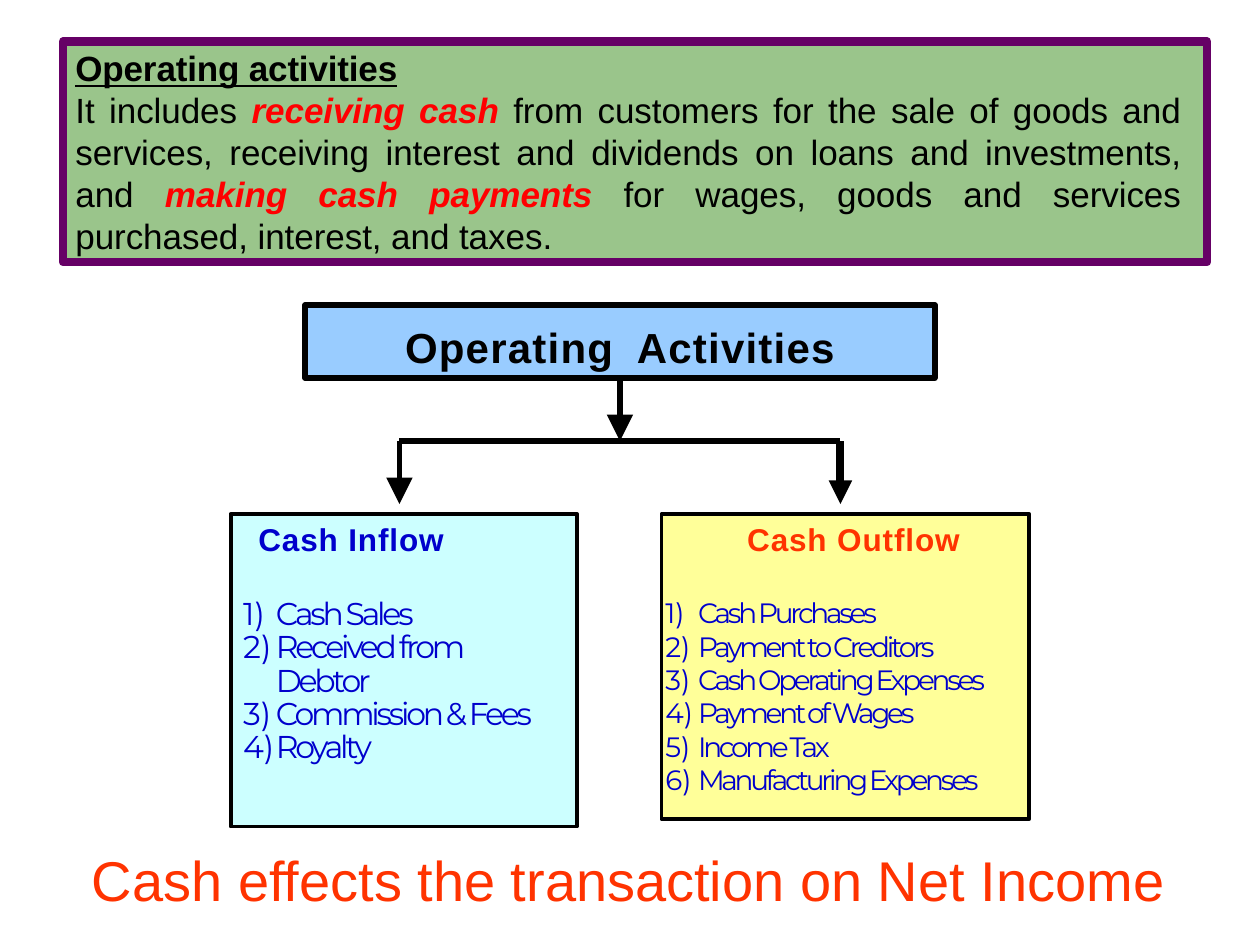
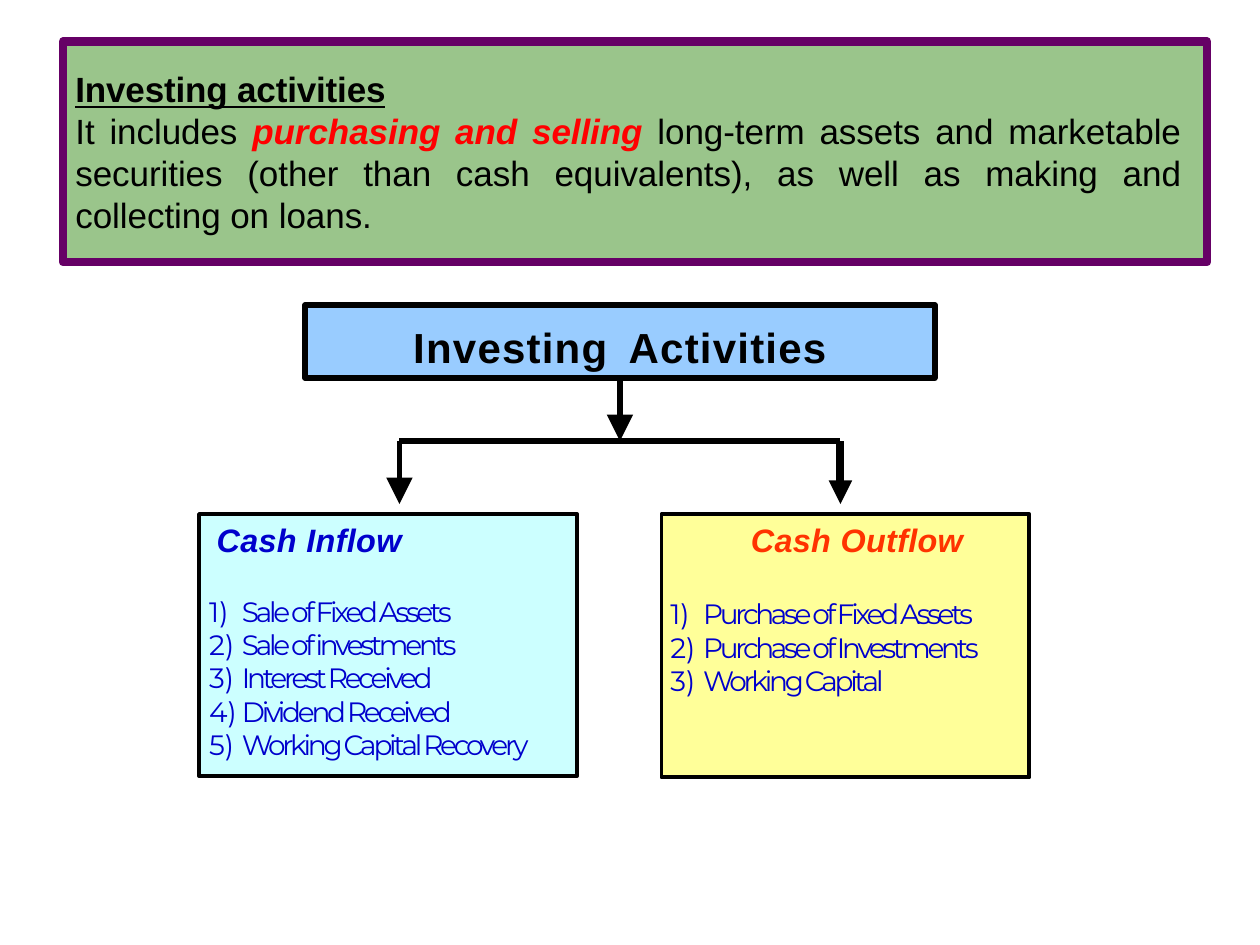
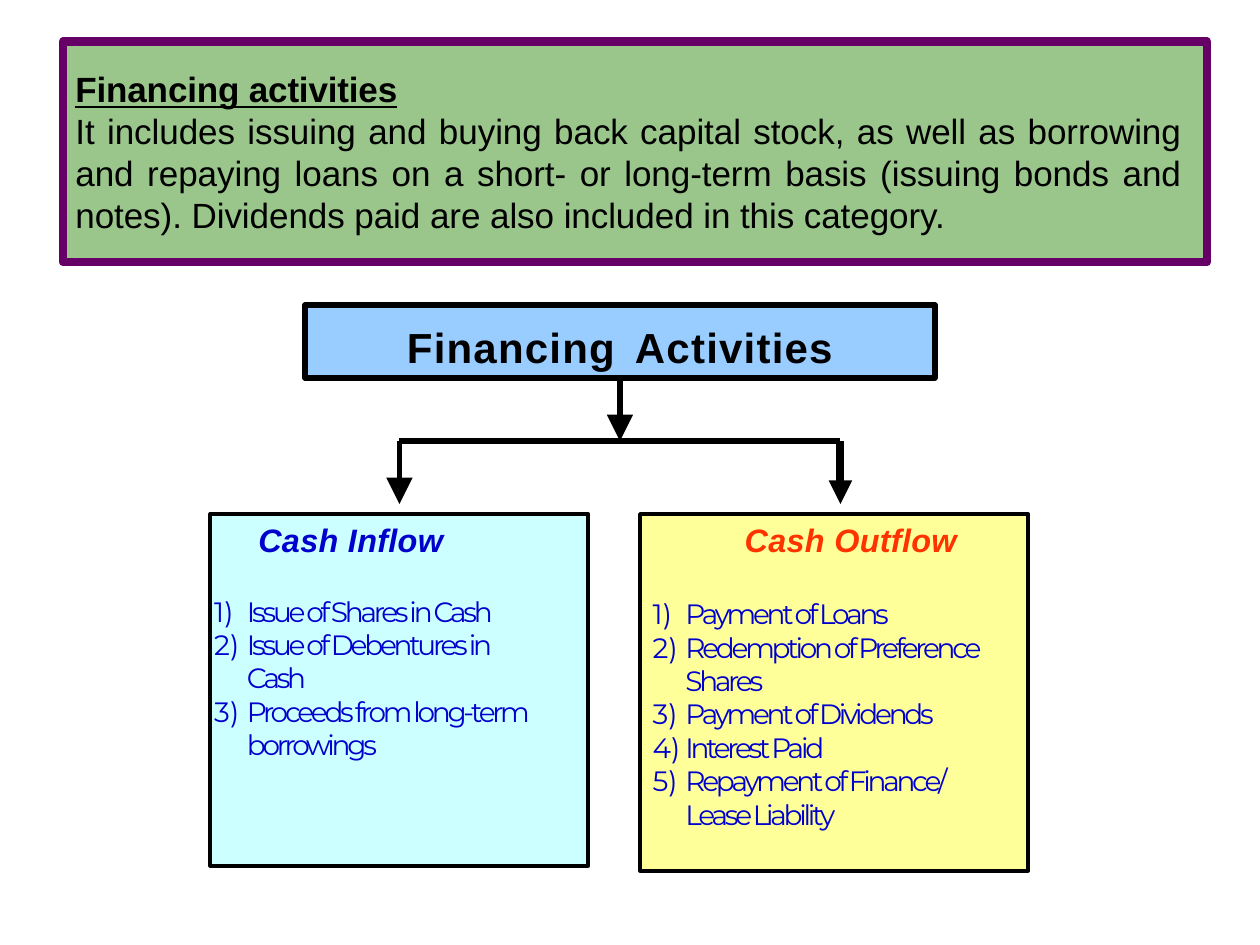
import lxml.etree
import pptx
import pptx.dml.color
import pptx.enum.shapes
import pptx.enum.text
import pptx.oxml.ns
import pptx.util

Inches = pptx.util.Inches
Pt = pptx.util.Pt
ANCHOR = pptx.enum.text.MSO_ANCHOR
ALIGN = pptx.enum.text.PP_ALIGN
qn = pptx.oxml.ns.qn

COLORS = {
    "black": "000000", "green": "9AC58B", "purple": "660066", "sky": "99CCFF",
    "cyan": "CCFFFF", "yellow": "FFFF99", "blue": "0000CC", "orange": "FF3300", "red": "FF0000",
}

ACTIVITIES = [
    {
        "name": "Operating", "tab": 1.84, "italic": False, "right_inset": 0.2,
        "definition": "It includes *receiving cash* from customers for the sale of goods and services, "
                      "receiving interest and dividends on loans and investments, and *making cash "
                      "payments* for wages, goods and services purchased, interest, and taxes.",
        "inflow": {"box": (1.83, 4.08, 2.75, 2.48), "heading_indent": 0.22, "indent": 0.36,
                   "size": 18, "gap": 22.8,
                   "entries": ["Cash Sales", "Received from Debtor", "Commission & Fees", "Royalty"]},
        "outflow": {"box": (5.25, 4.08, 2.92, 2.42), "heading_indent": 0.68, "indent": 0.29,
                    "size": 16, "gap": 21.5,
                    "entries": ["Cash Purchases", "Payment to Creditors", "Cash Operating Expenses",
                                "Payment of Wages", "Income Tax", "Manufacturing Expenses"]},
        "conclusion": "Cash effects the transaction on Net Income",
    },
    {
        "name": "Investing", "tab": 1.71, "italic": True, "right_inset": 0.2,
        "definition": "It includes *purchasing and selling* long-term assets and marketable securities "
                      "(other than cash equivalents), as well as making and collecting on loans.",
        "inflow": {"box": (1.58, 4.08, 3, 2.08), "heading_indent": 0.14, "indent": 0.34,
                   "size": 16, "gap": 20,
                   "entries": ["Sale of Fixed Assets", "Sale of investments", "Interest Received",
                               "Dividend Received", "Working Capital Recovery"]},
        "outflow": {"box": (5.25, 4.08, 2.92, 2.09), "heading_indent": 0.71, "indent": 0.33,
                    "size": 16, "gap": 21.5,
                    "entries": ["Purchase of Fixed Assets", "Purchase of Investments",
                                "Working Capital"]},
        "conclusion": "",
    },
    {
        "name": "Financing", "tab": 1.81, "italic": True, "right_inset": 0.3,
        "definition": "It includes issuing and buying back capital stock, as well as borrowing and "
                      "repaying loans on a short- or long-term basis (issuing bonds and notes). "
                      "Dividends paid are also included in this category.",
        "inflow": {"box": (1.67, 4.08, 3, 2.79), "heading_indent": 0.38, "indent": 0.29,
                   "size": 16, "gap": 20,
                   "entries": ["Issue of Shares in Cash", "Issue of Debentures in Cash",
                               "Proceeds from long-term borrowings"]},
        "outflow": {"box": (5.08, 4.08, 3.08, 2.83), "heading_indent": 0.83, "indent": 0.36,
                    "size": 16, "gap": 21.5,
                    "entries": ["Payment of Loans", "Redemption of Preference Shares",
                                "Payment of Dividends", "Interest Paid",
                                "Repayment of Finance/ Lease Liability"]},
        "conclusion": "",
    },
]

FLOWS = [("inflow", "Cash Inflow", "cyan", "blue"), ("outflow", "Cash Outflow", "yellow", "orange")]

BRANCHES = [
    ((4.92, 3), (4.92, 3.5), 3, "lg"),
    ((3.17, 3.5), (3.17, 4), 3, "lg"),
    ((6.67, 3.5), (6.67, 4), 4.5, "med"),
    ((3.17, 3.5), (6.67, 3.5), 3, None),
]


def style_runs(paragraph, size, color, bold=False, italic=False, font="Arial", spacing=0.0):
    for run in paragraph.runs:
        run.font.name = font
        run.font.size = Pt(size)
        run.font.bold = bold
        run.font.italic = italic
        run.font.color.rgb = pptx.dml.color.RGBColor.from_string(COLORS[color])
        run._r.get_or_add_rPr().set("spc", str(round(spacing * 100)))


def format_box(shape, box, fill=None, line=None, width=0, insets=(0, 0, 0, 0), anchor=ANCHOR.TOP):
    shape.left, shape.top, shape.width, shape.height = [Inches(length) for length in box]
    if fill:
        shape.fill.solid()
        shape.fill.fore_color.rgb = pptx.dml.color.RGBColor.from_string(COLORS[fill])
        shape.line.color.rgb = pptx.dml.color.RGBColor.from_string(COLORS[line])
        shape.line.width = Pt(width)
    frame = shape.text_frame
    frame.word_wrap = True
    frame.auto_size = pptx.enum.text.MSO_AUTO_SIZE.NONE
    frame.vertical_anchor = anchor
    frame.margin_left, frame.margin_top, frame.margin_right, frame.margin_bottom = [
        Inches(inset) for inset in insets]
    return frame


deck = pptx.Presentation()
deck.slide_width = Inches(10)
deck.slide_height = Inches(7.5)
two_content = deck.slide_layouts[3]

for activity in ACTIVITIES:
    slide = deck.slides.add_slide(two_content)

    definition_box = slide.shapes.add_shape(pptx.enum.shapes.MSO_SHAPE.RECTANGLE, 0, 0, 0, 0)
    definition_box.shadow.inherit = False
    definition = format_box(definition_box, (0.5, 0.33, 9.08, 1.75), "green", "purple", 5,
                            (0.1, 0, 0.21, 0), ANCHOR.MIDDLE)
    term = definition.paragraphs[0]
    term.text = activity["name"] + " activities"
    term.alignment = ALIGN.LEFT
    style_runs(term, 20, "black", bold=True, spacing=-0.1)
    term.runs[0].font.underline = True
    meaning = definition.add_paragraph()
    meaning.alignment = ALIGN.JUSTIFY
    for part in activity["definition"].split("*"):
        meaning.add_run().text = part
    style_runs(meaning, 20, "black", spacing=-0.05)
    for emphasis in meaning.runs[1::2]:
        emphasis.font.bold = emphasis.font.italic = True
        emphasis.font.color.rgb = pptx.dml.color.RGBColor.from_string(COLORS["red"])

    title = format_box(slide.shapes.title, (2.42, 2.42, 5, 0.58), "sky", "black", 3, (0, 0.13, 0, 0))
    title_line = title.paragraphs[0]
    title_line.text = activity["name"] + "\tActivities"
    title_line.alignment = ALIGN.CENTER
    style_runs(title_line, 24, "black", bold=True, spacing=0.7)
    tabs = lxml.etree.SubElement(title_line._p.get_or_add_pPr(), qn("a:tabLst"))
    lxml.etree.SubElement(tabs, qn("a:tab"), pos=str(Inches(activity["tab"])), algn="l")

    for start, end, width, arrow_size in BRANCHES:
        branch = slide.shapes.add_connector(
            pptx.enum.shapes.MSO_CONNECTOR.STRAIGHT,
            *[Inches(length) for length in start + end])
        branch.line.color.rgb = pptx.dml.color.RGBColor.from_string(COLORS["black"])
        branch.line.width = Pt(width)
        if arrow_size:
            lxml.etree.SubElement(branch.line._get_or_add_ln(), qn("a:tailEnd"),
                                  type="triangle", w=arrow_size, len=arrow_size)
        lxml.etree.SubElement(branch._element.spPr, qn("a:effectLst"))

    for position, (flow_key, flow_name, fill, heading_color) in enumerate(FLOWS, 1):
        flow = activity[flow_key]
        flow_frame = format_box(slide.placeholders[position], flow["box"], fill, "black", 2.25,
                                (0, 0.05, activity["right_inset"], 0))
        heading = flow_frame.paragraphs[0]
        heading.text = flow_name
        heading.space_before = Pt(0)
        style_runs(heading, 18.5 if activity["italic"] else 18, heading_color, bold=True,
                   italic=activity["italic"], spacing=0.2 if activity["italic"] else 0.5)
        heading_format = heading._p.get_or_add_pPr()
        heading_format.set("marL", str(Inches(flow["heading_indent"])))
        heading_format.set("indent", "0")
        lxml.etree.SubElement(heading_format, qn("a:buNone"))

        for number, entry in enumerate(flow["entries"]):
            item = flow_frame.add_paragraph()
            item.text = entry
            item.line_spacing = Pt(19.1)
            item.space_before = Pt(0 if number else flow["gap"])
            style_runs(item, flow["size"], "blue", font="Montserrat", spacing=-1.85)
            item_format = item._p.get_or_add_pPr()
            item_format.set("marL", str(Inches(flow["indent"])))
            item_format.set("indent", str(Inches(-0.26)))
            lxml.etree.SubElement(item_format, qn("a:buFont"), typeface="Montserrat")
            lxml.etree.SubElement(item_format, qn("a:buAutoNum"), type="arabicParenR")

    if activity["conclusion"]:
        conclusion = format_box(slide.shapes.add_textbox(0, 0, 0, 0), (0.72, 6.7, 8.7, 0.56),
                                insets=(0.01, 0.01, 0, 0))
        conclusion.text = activity["conclusion"]
        style_runs(conclusion.paragraphs[0], 32, "orange")

deck.save("out.pptx")
